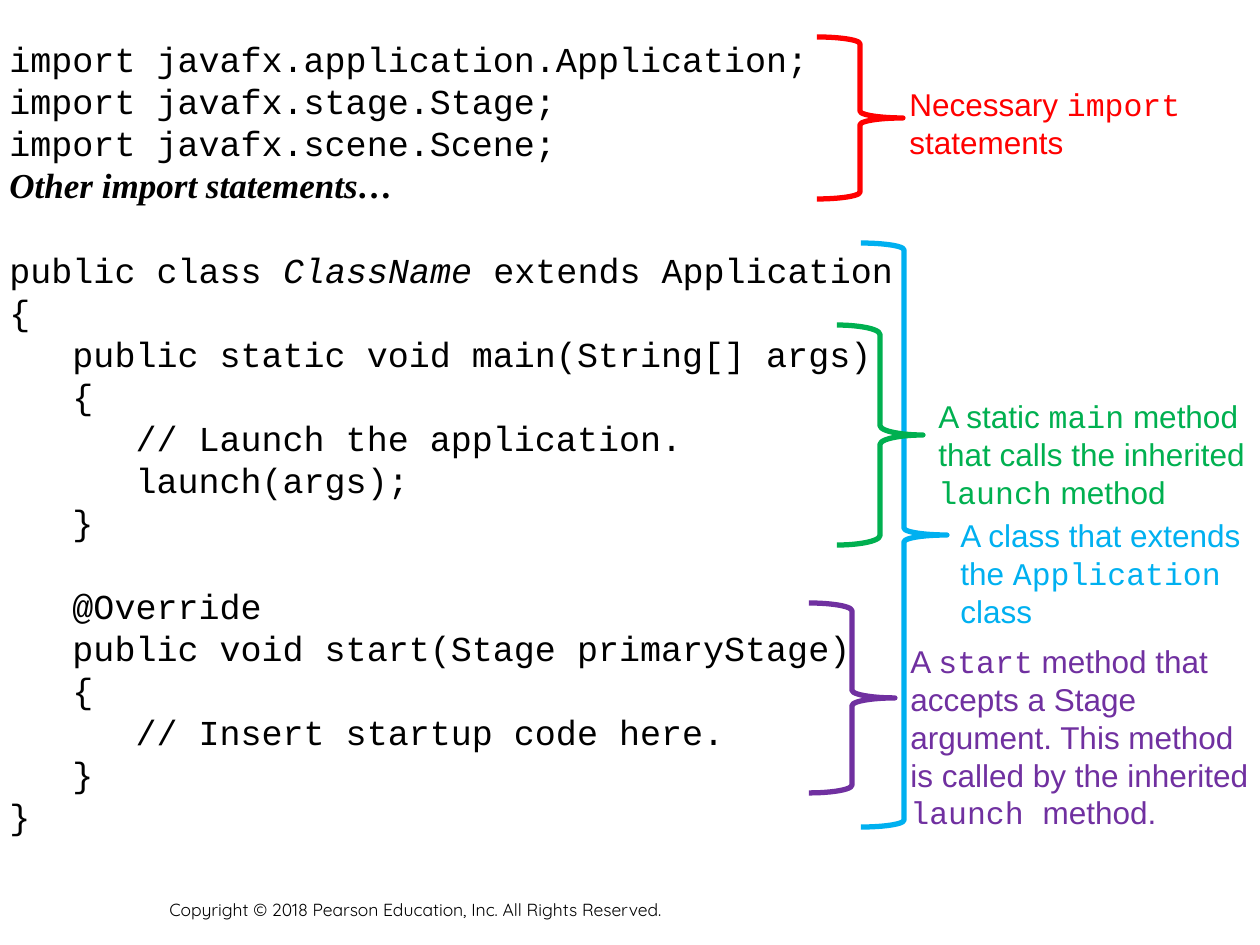
from pptx import Presentation
from pptx import util as u
from pptx.dml.color import RGBColor
from pptx.enum import shapes, text

SCALE = 914400 / 126
BLACK = RGBColor(0x00, 0x00, 0x00)
RED = RGBColor(0xFF, 0x00, 0x00)
BLUE = RGBColor(0x00, 0xB0, 0xF0)
GREEN = RGBColor(0x00, 0xB0, 0x50)
PURPLE = RGBColor(0x70, 0x30, 0xA0)
SANS, MONO, SERIF, FOOTER = "Arial", "Courier New", "Times New Roman", "Quicksand"
BRACE_WIDTH = 86

IMPORTS = """import javafx.application.Application;
import javafx.stage.Stage;
import javafx.scene.Scene;"""
MAIN_METHOD = """{
   public static void main(String[] args)
   {
      // Launch the application.
      launch(args);
   }"""
START_METHOD = """   @Override
   public void start(Stage primaryStage)
   {
      // Insert startup code here.
   }
}"""

CALLOUTS = [
    (RED, (817, 37, 162), 0.08, (897, 79, 300, 88), [
        [("Necessary ", SANS), ("import", MONO)],
        [("statements", SANS)]]),
    (BLUE, (861, 243, 584), 0.08, (948, 510, 312, 126), [
        [("A class that extends", SANS)],
        [("the ", SANS), ("Application", MONO)],
        [("class", SANS)]]),
    (GREEN, (837, 325, 220), 0.11, (926, 391, 336, 126), [
        [("A static ", SANS), ("main", MONO), (" method", SANS)],
        [("that calls the inherited", SANS)],
        [("launch", MONO), (" method", SANS)]]),
    (PURPLE, (809, 603, 190), 0.09, (898, 636, 366, 202), [
        [("A ", SANS), ("start", MONO), (" method that", SANS)],
        [("accepts a Stage", SANS)],
        [("argument. This method", SANS)],
        [("is called by the inherited", SANS)],
        [("launch ", MONO), ("method.", SANS)]]),
]


def px(*lengths):
    """Turn pixel lengths into EMU."""
    return [u.Emu(round(length * SCALE)) for length in lengths]


def code_lines(block):
    """Split a block of code into one monospaced run per line."""
    return [[(line, MONO)] for line in block.split("\n")]


def add_lines(parent, box, lines, size, color, pitch):
    """Add an unwrapped text box with one paragraph per line."""
    frame = parent.add_textbox(*px(*box)).text_frame
    frame.word_wrap = False
    frame.auto_size = text.MSO_AUTO_SIZE.SHAPE_TO_FIT_TEXT
    for index, line in enumerate(lines):
        paragraph = frame.add_paragraph() if index else frame.paragraphs[0]
        paragraph.line_spacing = u.Pt(pitch)
        for words, font in line:
            run = paragraph.add_run()
            run.text = words
            run.font.name = font
            run.font.size = u.Pt(size)
            run.font.color.rgb = color
    return frame.paragraphs


def add_code(slide):
    """Add the program skeleton with its two gaps and italic names."""
    other_imports = [("Other import statements…", SERIF)]
    class_header = [("public class ", MONO), ("ClassName", MONO),
                    (" extends Application", MONO)]
    lines = (code_lines(IMPORTS) + [other_imports, class_header]
             + code_lines(MAIN_METHOD) + code_lines(START_METHOD))
    paragraphs = add_lines(slide.shapes, (-3, 31, 912, 811), lines, 20, BLACK, 24)
    header_at = lines.index(class_header)
    override_at = header_at + 1 + len(code_lines(MAIN_METHOD))
    paragraphs[header_at].space_before = u.Pt(24.6)
    paragraphs[override_at].space_before = u.Pt(24)
    other_font = paragraphs[header_at - 1].runs[0].font
    other_font.bold = other_font.italic = True
    paragraphs[header_at].runs[1].font.italic = True


def add_callout(slide, color, brace_box, bend, note_box, lines):
    """Add a right brace grouped with its explanation."""
    left, top, height = brace_box
    callout = slide.shapes.add_group_shape().shapes
    brace = callout.add_shape(shapes.MSO_SHAPE.RIGHT_BRACE,
                              *px(left, top, BRACE_WIDTH, height))
    brace.adjustments[0] = bend
    brace.shadow.inherit = False
    brace.fill.background()
    brace.line.color.rgb = color
    brace.line.width = u.Pt(3)
    add_lines(callout, note_box, lines, 18, color, 21.6)


def add_copyright(slide):
    """Add the copyright line at the foot of the slide."""
    frame = slide.shapes.add_textbox(*px(157, 884, 567, 42)).text_frame
    frame.word_wrap = True
    frame.vertical_anchor = text.MSO_ANCHOR.BOTTOM
    frame.text = "Copyright © 2018 Pearson Education, Inc. All Rights Reserved."
    font = frame.paragraphs[0].runs[0].font
    font.name = FOOTER
    font.size = u.Pt(10)
    font.color.rgb = BLACK


def main():
    """Build the slide and save it."""
    deck = Presentation()
    deck.slide_width, deck.slide_height = px(1260, 945)
    slide = deck.slides.add_slide(deck.slide_layouts[6])
    add_copyright(slide)
    add_code(slide)
    for callout in CALLOUTS:
        add_callout(slide, *callout)
    deck.save("out.pptx")


if __name__ == "__main__":
    main()
